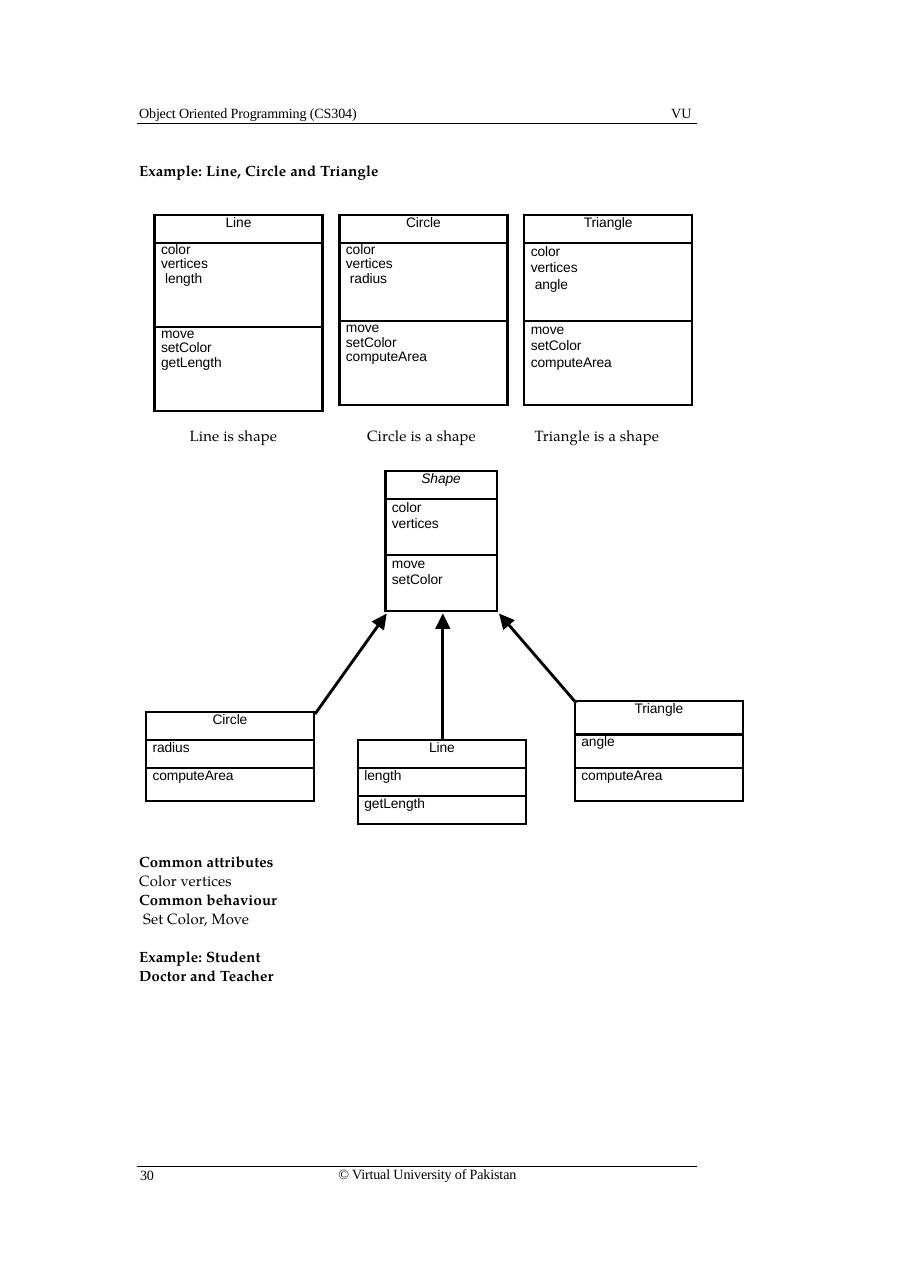
"""Build a course page with class diagrams of Line, Circle, Triangle and their parent Shape."""
from lxml.etree import SubElement
from pptx import Presentation
from pptx.dml.color import RGBColor
from pptx.enum.shapes import MSO_CONNECTOR as CONN
from pptx.enum.text import MSO_ANCHOR as ANCHOR, MSO_AUTO_SIZE as AUTO, PP_ALIGN as ALIGN
from pptx.oxml import parse_xml
from pptx.oxml.ns import nsdecls, qn
from pptx.util import Pt

BLACK = RGBColor(0, 0, 0)
SERIF, BOOK, SANS = "Times New Roman", "TeX Gyre Pagella", "Arial"
STROKE = 1.88
MARGIN_X, RULE_RIGHT = 90.9, 455.8
ROW, BOX_W, TOP_X, TOP_Y, PITCH = 18.3, 109.8, 101, 140.4, 120.8

TITLE = "Example: Line, Circle and Triangle"
RUNNING = [
    ("Object Oriented Programming (CS304)", MARGIN_X, 68.4),
    ("VU", 438.7, 68.4),
    ("© Virtual University of Pakistan", 221.2, 761.8),
    ("30", 91.6, 762.5),
]
RULES_Y = [80.6, 762.5]
CAPTIONS = [
    ("Line is shape", 124),
    ("Circle is a shape", 239.9),
    ("Triangle is a shape", 349.4),
]
CAPTION_Y = 278.6
SUMMARY = [
    ("Common attributes", True, 0, 0),
    ("Color vertices", False, 0, 0),
    ("Common behaviour", True, 0, 0),
    ("Set Color, Move", False, 2.6, 0),
    ("Example: Student", True, 0, 12.6),
    ("Doctor and Teacher", True, 0, 0),
]
SHARED, ACTIONS = ["color", "vertices"], ["move", "setColor"]
TOP_CLASSES = [
    ("Line", "length", "getLength", 54.9, 0.94),
    ("Circle", "radius", "computeArea", 51, 0.94),
    ("Triangle", "angle", "computeArea", 51, Pt(10.8)),
]
CHILDREN = [
    ("Circle", "radius", "computeArea", 95.4, 465.2, (ROW, ROW, 21.6)),
    ("Line", "length", "getLength", 233.9, 483.5, (ROW, ROW, ROW)),
    ("Triangle", "angle", "computeArea", 375.7, 458, (22, 21.8, 21.8)),
]
ARROWS = [
    ((205.9, 466.6), (252.7, 401)),
    ((289.4, 484.5), (289.4, 401)),
    ((376.6, 459.4), (326.2, 401)),
]


def add_run(p, text, font, size, spacing, bold=False, italic=False):
    r = p.add_run()
    r.text = text
    r.font.name, r.font.size = font, Pt(size)
    r.font.bold, r.font.italic = bold, italic
    r.font.color.rgb = BLACK
    r._r.get_or_add_rPr().set("spc", str(spacing))


def prepare(sp, x, y, w, h, wrap=False):
    sp.left, sp.top, sp.width, sp.height = Pt(x), Pt(y), Pt(w), Pt(h)
    tf = sp.text_frame
    tf.margin_left = tf.margin_right = tf.margin_top = tf.margin_bottom = 0
    tf.word_wrap, tf.auto_size = wrap, AUTO.NONE
    tf.vertical_anchor = ANCHOR.TOP
    return tf


def add_label(s, text, x, y, font, size, spacing):
    tf = prepare(s.shapes.add_textbox(0, 0, 0, 0), x, y, 160, 11.5)
    add_run(tf.paragraphs[0], text, font, size, spacing)


def add_line(s, start, end, width):
    line = s.shapes.add_connector(CONN.STRAIGHT, *(Pt(v) for v in start + end))
    line.line.color.rgb, line.line.width = BLACK, Pt(width)
    SubElement(line._element.spPr, qn("a:effectLst"))
    return line


def add_arrow(s, start, end):
    ln = add_line(s, start, end, STROKE).line._get_or_add_ln()
    SubElement(ln, qn("a:tailEnd"), type="triangle", w="lg", len="lg")


def set_borders(cell):
    tc_pr = cell._tc.get_or_add_tcPr()
    for i, side in enumerate(("lnL", "lnR", "lnT", "lnB")):
        tc_pr.insert(i, parse_xml(
            f'<a:{side} {nsdecls("a")} w="{Pt(STROKE)}"><a:solidFill>'
            f'<a:srgbClr val="{BLACK}"/></a:solidFill></a:{side}>'))


def add_class(s, x, y, w, heights, sections, spacing=1.0, italic=False):
    frame = s.shapes.add_table(3, 1, Pt(x), Pt(y), Pt(w), Pt(sum(heights)))
    table = frame.table
    table.first_row = table.horz_banding = False
    for row, (height, lines) in enumerate(zip(heights, sections)):
        table.rows[row].height = Pt(height)
        cell = table.cell(row, 0)
        cell.margin_left = Pt(4.3 if row else 0)
        cell.margin_right = cell.margin_top = cell.margin_bottom = 0
        cell.fill.background()
        set_borders(cell)
        tf = cell.text_frame
        for i, text in enumerate(lines):
            p = tf.add_paragraph() if i else tf.paragraphs[0]
            p.alignment = ALIGN.LEFT if row else ALIGN.CENTER
            if row:
                p.line_spacing = spacing
            if row == 1 and i == len(SHARED):
                p._p.get_or_add_pPr().set("marL", str(Pt(2.6)))
            add_run(p, text, SANS, 9, -5, italic=italic and row == 0)


def fill_summary(sp):
    tf = prepare(sp, MARGIN_X, 556.6, 175, 88, True)
    for i, (text, bold, indent, before) in enumerate(SUMMARY):
        p = tf.add_paragraph() if i else tf.paragraphs[0]
        p_pr = p._p.get_or_add_pPr()
        p_pr.set("marL", str(Pt(indent)))
        p_pr.set("indent", "0")
        SubElement(p_pr, qn("a:buNone"))
        p.line_spacing, p.space_before = 1.06, Pt(before)
        add_run(p, text, BOOK, 9.7, 10, bold)


def main():
    prs = Presentation()
    prs.slide_width, prs.slide_height = Pt(594.72), Pt(841.68)
    s = prs.slides.add_slide(prs.slide_layouts[1])

    p = prepare(s.shapes.title, MARGIN_X, 105.8, 200, 11.5).paragraphs[0]
    p.alignment = ALIGN.LEFT
    add_run(p, TITLE, BOOK, 9.7, 10, True)
    fill_summary(s.placeholders[1])

    for text, x, y in RUNNING:
        add_label(s, text, x, y, SERIF, 9.2, -10)
    for y in RULES_Y:
        add_line(s, (89.3, y), (RULE_RIGHT, y), 0.66)
    for text, x in CAPTIONS:
        add_label(s, text, x, CAPTION_Y, BOOK, 9.7, 10)

    for i, (name, attribute, method, height, spacing) in enumerate(TOP_CLASSES):
        add_class(s, TOP_X + i * PITCH, TOP_Y, BOX_W, (ROW, height, 54.9),
                  ([name], SHARED + [attribute], ACTIONS + [method]), spacing)
    add_class(s, 251.9, 307.8, 72.8, (ROW, 2 * ROW, 2 * ROW),
              (["Shape"], SHARED, ACTIONS), Pt(10.7), italic=True)
    for name, attribute, method, x, y, heights in CHILDREN:
        add_class(s, x, y, BOX_W, heights, ([name], [attribute], [method]))
    for start, end in ARROWS:
        add_arrow(s, start, end)

    prs.save("out.pptx")


if __name__ == "__main__":
    main()
